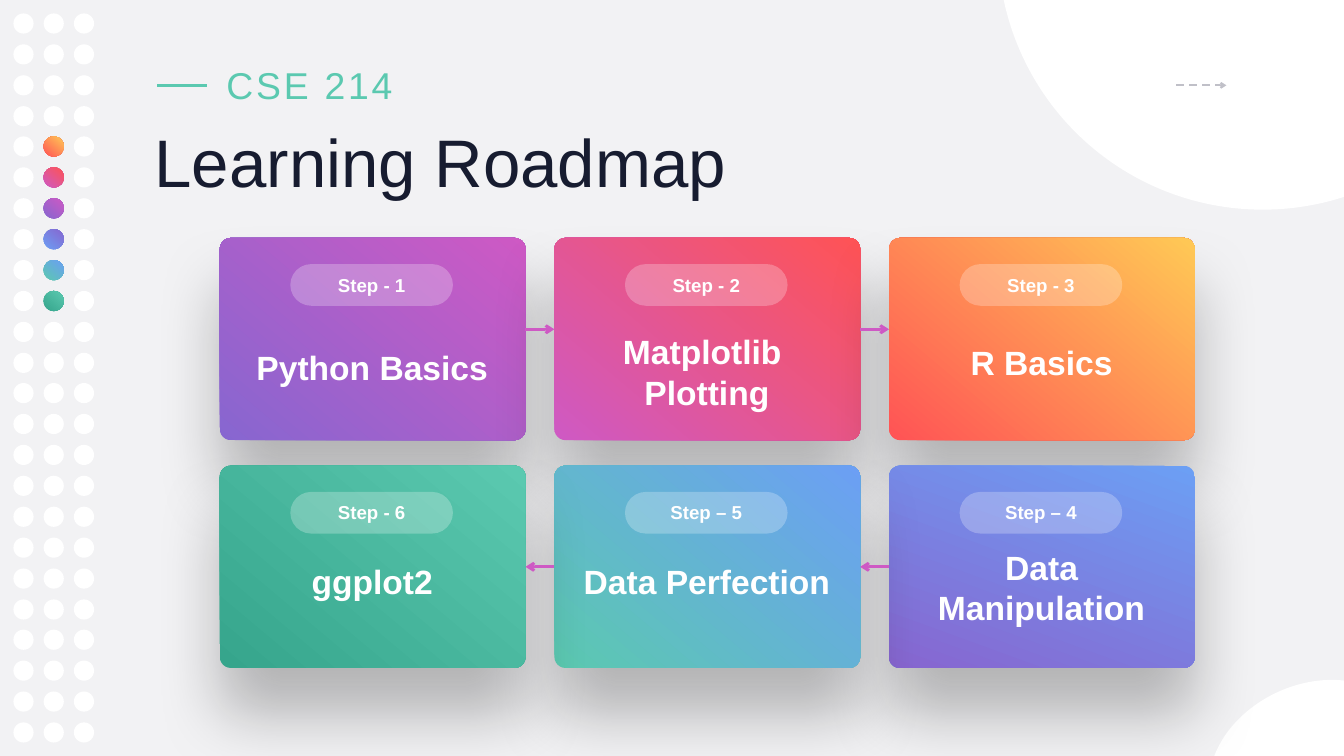
import math

from pptx import Presentation
from pptx.dml.color import RGBColor
from pptx.enum.dml import MSO_LINE
from pptx.enum.shapes import MSO_CONNECTOR, MSO_SHAPE
from pptx.enum.text import MSO_ANCHOR, MSO_AUTO_SIZE, PP_ALIGN
from pptx.oxml.ns import qn
from pptx.oxml.xmlchemy import OxmlElement
from pptx.util import Pt

PX = 9144
FONT = "Arial"

STRAIGHT = MSO_CONNECTOR.STRAIGHT
OVAL = MSO_SHAPE.OVAL
ROUNDED = MSO_SHAPE.ROUNDED_RECTANGLE
DASH = MSO_LINE.DASH
MIDDLE = MSO_ANCHOR.MIDDLE
NO_FIT = MSO_AUTO_SIZE.NONE
GROW = MSO_AUTO_SIZE.SHAPE_TO_FIT_TEXT
LEFT, CENTER = PP_ALIGN.LEFT, PP_ALIGN.CENTER

BACKGROUND = RGBColor(0xF2, 0xF2, 0xF4)
WHITE = RGBColor(0xFF, 0xFF, 0xFF)
BLACK = RGBColor(0x00, 0x00, 0x00)
NAVY = RGBColor(0x17, 0x1C, 0x30)
GRAY = RGBColor(0xC0, 0xC0, 0xC8)
RED = RGBColor(0xFF, 0x53, 0x55)
YELLOW = RGBColor(0xFF, 0xC9, 0x55)
PINK = RGBColor(0xCE, 0x59, 0xC4)
PURPLE = RGBColor(0x87, 0x66, 0xD0)
BLUE = RGBColor(0x6C, 0x9F, 0xF4)
TEAL = RGBColor(0x5B, 0xC9, 0xB0)
GREEN = RGBColor(0x36, 0xA5, 0x8C)

DOT_COLORS = [(RED, YELLOW), (PINK, RED), (PURPLE, PINK),
              (BLUE, PURPLE), (TEAL, BLUE), (GREEN, TEAL)]
DOT_ROWS, FIRST_COLORED_ROW = 24, 4

CARD_W, CARD_H = 455, 301
CARDS = [
    (0, 0, "Step - 1", "Python Basics", 158, (PURPLE, PINK), 50),
    (1, 0, "Step - 2", "Matplotlib \vPlotting", 134, (PINK, RED), 50),
    (2, 0, "Step - 3", "R Basics", 150, (RED, YELLOW), 50),
    (2, 1, "Step – 4", "Data Manipulation", 116, (BLUE, PURPLE), 250),
    (1, 1, "Step – 5", "Data Perfection", 136, (TEAL, BLUE), 50),
    (0, 1, "Step - 6", "ggplot2", 136, (GREEN, TEAL), 50),
]


def px(*values):
    return [round(v * PX) for v in values]


def card_origin(col, row):
    return 327 + 498 * col, 354 + 339 * row


def add_child(parent, tag, **attrs):
    child = OxmlElement(tag)
    for name, value in attrs.items():
        child.set(name, str(value))
    parent.append(child)
    return child


def add_color(parent, color, opacity):
    clr = add_child(parent, "a:srgbClr", val=color)
    add_child(clr, "a:alpha", val=opacity * 1000)


def paint(sp, color):
    sp.shadow.inherit = False
    sp.line.fill.background()
    sp.fill.solid()
    sp.fill.fore_color.rgb = color


def paint_gradient(sp, colors, angle=50):
    sp.shadow.inherit = False
    sp.line.fill.background()
    sp.fill.gradient()
    sp.fill.gradient_angle = angle
    for stop, color in zip(sp.fill.gradient_stops, colors):
        stop.color.rgb = color


def add_line(s, start, end, color, width, arrow=False):
    line = s.shapes.add_connector(STRAIGHT, *px(*start, *end))
    line.line.color.rgb = color
    line.line.width = Pt(width)
    if arrow:
        add_child(line.line._get_or_add_ln(), "a:tailEnd", type="arrow")
    add_child(line._element.spPr, "a:effectLst")
    return line


def set_font(p, size, color, bold=False):
    p.font.name = FONT
    p.font.size = Pt(size)
    p.font.bold = bold
    p.font.color.rgb = color


def add_label(s, box, text, size):
    tf = s.shapes.add_textbox(*px(*box)).text_frame
    tf.word_wrap = True
    tf.auto_size = GROW
    tf.text = text
    p = tf.paragraphs[0]
    p.alignment = CENTER
    set_font(p, size, WHITE, True)


def fill_placeholder(sp, box, text, size, color):
    sp.left, sp.top, sp.width, sp.height = px(*box)
    tf = sp.text_frame
    tf.text = text
    tf.auto_size = NO_FIT
    tf.vertical_anchor = MIDDLE
    p = tf.paragraphs[0]
    pPr = p._p.get_or_add_pPr()
    pPr.set("marL", "0")
    pPr.set("indent", "0")
    add_child(pPr, "a:buNone")
    p.alignment = LEFT
    p.line_spacing = 0.9
    p.space_before = Pt(0)
    set_font(p, size, color)
    return p.runs[0]


def add_dots(s):
    group = s.shapes.add_group_shape()
    for col in range(3):
        for row in range(DOT_ROWS):
            top = 20 + round(row * 1055 / (DOT_ROWS - 1))
            dot = group.shapes.add_shape(OVAL, *px(20 + 45 * col, top, 30, 30))
            index = row - FIRST_COLORED_ROW
            if col == 1 and 0 <= index < len(DOT_COLORS):
                paint_gradient(dot, DOT_COLORS[index])
            else:
                paint(dot, WHITE)


def add_corner_circles(s):
    cx, cy, radius = 1879, -82, 394
    arc = [(cx + radius * math.cos(math.radians(a)),
            cy + radius * math.sin(math.radians(a))) for a in range(64, 175)]
    points = [(2056, -46), (2056, 270)] + arc
    builder = s.shapes.build_freeform(*px(1487, -46))
    builder.add_line_segments([px(*point) for point in points], close=True)
    paint(builder.convert_to_shape(), WHITE)

    ellipse = s.shapes.add_shape(OVAL, *px(1793, 1019, 318, 246))
    ellipse.rotation = 334.9
    paint(ellipse, WHITE)


def add_card(s, col, row, colors, angle):
    card = s.shapes.add_shape(ROUNDED, *px(*card_origin(col, row), CARD_W, CARD_H))
    card.adjustments[0] = 0.055
    paint_gradient(card, colors, angle)
    effects = card._element.spPr.find(qn("a:effectLst"))
    shadow = add_child(effects, "a:outerShdw", blurRad=Pt(70), dist=Pt(50),
                       dir=90 * 60000, algn="t", rotWithShape=0)
    add_color(shadow, BLACK, 25)
    return card


def add_card_text(s, col, row, step, topic, topic_top):
    x, y = card_origin(col, row)
    pill = s.shapes.add_shape(ROUNDED, *px(x + 105, y + 39, 242, 62))
    pill.adjustments[0] = 0.5
    paint(pill, WHITE)
    clr = pill._element.spPr.find(qn("a:solidFill")).find(qn("a:srgbClr"))
    add_child(clr, "a:alpha", val=25000)
    add_label(s, (x + 115, y + 48, 222, 44), step, 20)
    height = 131 if topic_top < 136 else 71
    add_label(s, (x + 29, y + topic_top, 396, height), topic, 36)


def add_arrows(s, cards):
    for col in range(2):
        right = card_origin(col, 0)[0] + CARD_W
        next_left = card_origin(col + 1, 0)[0]
        add_line(s, (right, 490), (next_left, 490), PINK, 3, True)
        back = add_line(s, (next_left, 843), (right, 843), PINK, 3, True)
        back.begin_connect(cards[col + 1, 1], 1)
        back.end_connect(cards[col, 1], 3)


def main():
    prs = Presentation()
    prs.slide_width, prs.slide_height = px(2000, 1125)
    s = prs.slides.add_slide(prs.slide_layouts[1])
    s.background.fill.solid()
    s.background.fill.fore_color.rgb = BACKGROUND

    add_dots(s)
    add_corner_circles(s)
    add_line(s, (1750, 127), (1825, 127), GRAY, 2, True).line.dash_style = DASH
    add_line(s, (308, 127), (233, 127), TEAL, 3)

    title, body = s.placeholders
    fill_placeholder(title, (220, 180, 1451, 132), "Learning Roadmap", 72, NAVY)
    r = fill_placeholder(body, (327, 102, 500, 57), "CSE 214", 40, TEAL)
    r._r.get_or_add_rPr().set("spc", "300")

    cards = {(col, row): add_card(s, col, row, colors, angle)
             for col, row, _, _, _, colors, angle in CARDS}
    add_arrows(s, cards)
    for col, row, step, topic, topic_top, _, _ in CARDS:
        add_card_text(s, col, row, step, topic, topic_top)

    prs.save("out.pptx")


if __name__ == "__main__":
    main()
